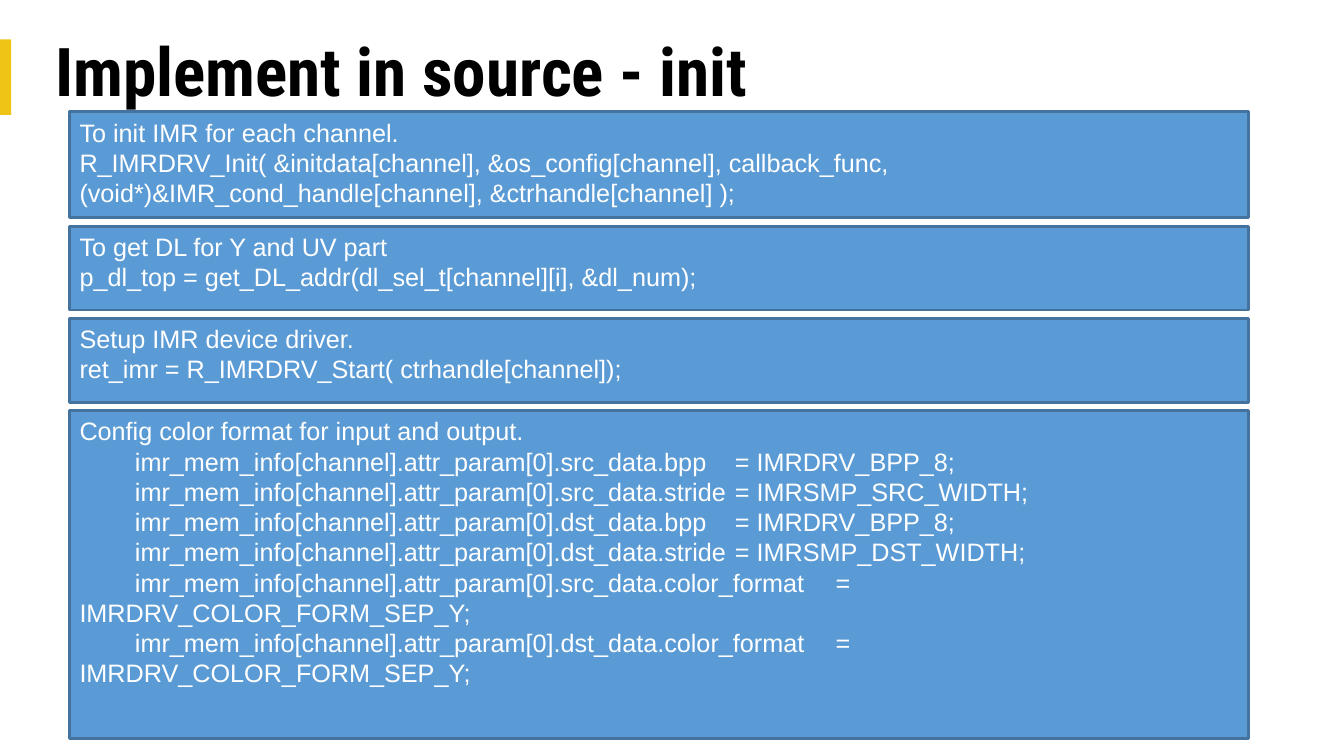
from dataclasses import dataclass

from lxml.etree import SubElement
from pptx import Presentation
from pptx.dml.color import RGBColor
from pptx.enum.shapes import MSO_SHAPE
from pptx.enum.text import MSO_ANCHOR, MSO_AUTO_SIZE, PP_ALIGN
from pptx.oxml.ns import qn
from pptx.util import Inches, Pt


@dataclass(frozen=True)
class Theme:
    """Colours, fonts and type sizes of the deck."""
    accent: str = "EFC415"
    panel: str = "5B9BD5"
    edge: str = "43739E"
    ink: str = "000000"
    light: str = "FFFFFF"
    title_font: str = "Roboto Condensed"
    body_font: str = "Arial"
    title_size: int = 48
    body_size: int = 18
    code_indent: float = 0.55
    code_tabs: tuple = (6.5, 7.4)


class Builder:
    """Draws elements on a slide, placed in percent of its size."""

    def __init__(self, prs, theme):
        """Add a title-only slide."""
        self.prs, self.theme = prs, theme
        self.s = prs.slides.add_slide(prs.slide_layouts[5])

    def frame(self, x, y, w, h):
        """Turn percentages into slide lengths."""
        cw, rh = self.prs.slide_width / 100, self.prs.slide_height / 100
        return int(x * cw), int(y * rh), int(w * cw), int(h * rh)

    def run(self, p, text, font, size, color, bold=False):
        """Add one styled run."""
        r = p.add_run()
        r.text = text
        r.font.name, r.font.size, r.font.bold = font, Pt(size), bold
        r.font.color.rgb = RGBColor.from_string(color)

    def title(self, text, x, y, w, h):
        """Place and fill the title placeholder."""
        t, sp = self.theme, self.s.shapes.title
        sp.left, sp.top, sp.width, sp.height = self.frame(x, y, w, h)
        tf = sp.text_frame
        tf.auto_size, tf.vertical_anchor = MSO_AUTO_SIZE.NONE, MSO_ANCHOR.MIDDLE
        tf.margin_left = tf.margin_right = Inches(0.07)
        tf.margin_top = tf.margin_bottom = Inches(0.04)
        p = tf.paragraphs[0]
        p.alignment, p.line_spacing = PP_ALIGN.LEFT, 0.9
        self.run(p, text, t.title_font, t.title_size, t.ink, True)

    def rect(self, x, y, w, h, fill, edge=None):
        """Add a flat rectangle, outlined when an edge colour is given."""
        sp = self.s.shapes.add_shape(MSO_SHAPE.RECTANGLE, *self.frame(x, y, w, h))
        sp.shadow.inherit = False
        sp.fill.solid()
        sp.fill.fore_color.rgb = RGBColor.from_string(fill)
        if edge:
            sp.line.color.rgb = RGBColor.from_string(edge)
            sp.line.width = Pt(2)
        else:
            sp.line.fill.background()
        return sp

    def indent(self, p):
        """Indent the first line and set the stops for equals signs."""
        pPr = p._p.get_or_add_pPr()
        pPr.set("marL", "0")
        pPr.set("indent", str(Inches(self.theme.code_indent)))
        tabs = SubElement(pPr, qn("a:tabLst"))
        for pos in self.theme.code_tabs:
            SubElement(tabs, qn("a:tab"), pos=str(Inches(pos)), algn="l")

    def panel(self, x, y, w, h, heading, code, indented=False):
        """Add a box with a heading above its code lines."""
        t = self.theme
        tf = self.rect(x, y, w, h, t.panel, t.edge).text_frame
        tf.word_wrap, tf.vertical_anchor = True, MSO_ANCHOR.TOP
        for i, line in enumerate([heading, *code]):
            p = tf.add_paragraph() if i else tf.paragraphs[0]
            p.alignment = PP_ALIGN.LEFT
            if indented and i:
                self.indent(p)
            for j, part in enumerate(line.split("\n")):
                if j:
                    p.add_line_break()
                self.run(p, part, t.body_font, t.body_size, t.light)


SETTINGS = [
    ("src_data.bpp", "\t= IMRDRV_BPP_8;"),
    ("src_data.stride", "\t= IMRSMP_SRC_WIDTH;"),
    ("dst_data.bpp", "\t= IMRDRV_BPP_8;"),
    ("dst_data.stride", "\t= IMRSMP_DST_WIDTH;"),
    ("src_data.color_format", "\t=\nIMRDRV_COLOR_FORM_SEP_Y;"),
    ("dst_data.color_format", "\t=\nIMRDRV_COLOR_FORM_SEP_Y;"),
]

PANELS = [
    (14, "To init IMR for each channel.",
     ["R_IMRDRV_Init( &initdata[channel], &os_config[channel], callback_func, "
      "(void*)&IMR_cond_handle[channel], &ctrhandle[channel] );"], False),
    (11.07, "To get DL for Y and UV part",
     ["p_dl_top = get_DL_addr(dl_sel_t[channel][i], &dl_num);"], False),
    (11.07, "Setup IMR device driver.",
     ["ret_imr = R_IMRDRV_Start( ctrhandle[channel]);"], False),
    (43.33, "Config color format for input and output.",
     [f"imr_mem_info[channel].attr_param[0].{field}{value}"
      for field, value in SETTINGS], True),
]


def main():
    """Build and save the slide."""
    prs = Presentation()
    prs.slide_width, prs.slide_height = Inches(13.33), Inches(7.5)
    b = Builder(prs, Theme())
    b.rect(0, 5.2, 0.83, 10, b.theme.accent)
    b.title("Implement in source - init", 3.6, 3.73, 92.8, 12.27)
    top, gap = 14.8, 1.13
    for height, heading, code, indented in PANELS:
        b.panel(5.18, top, 87.7, height, heading, code, indented)
        top += height + gap
    prs.save("out.pptx")


if __name__ == "__main__":
    main()
